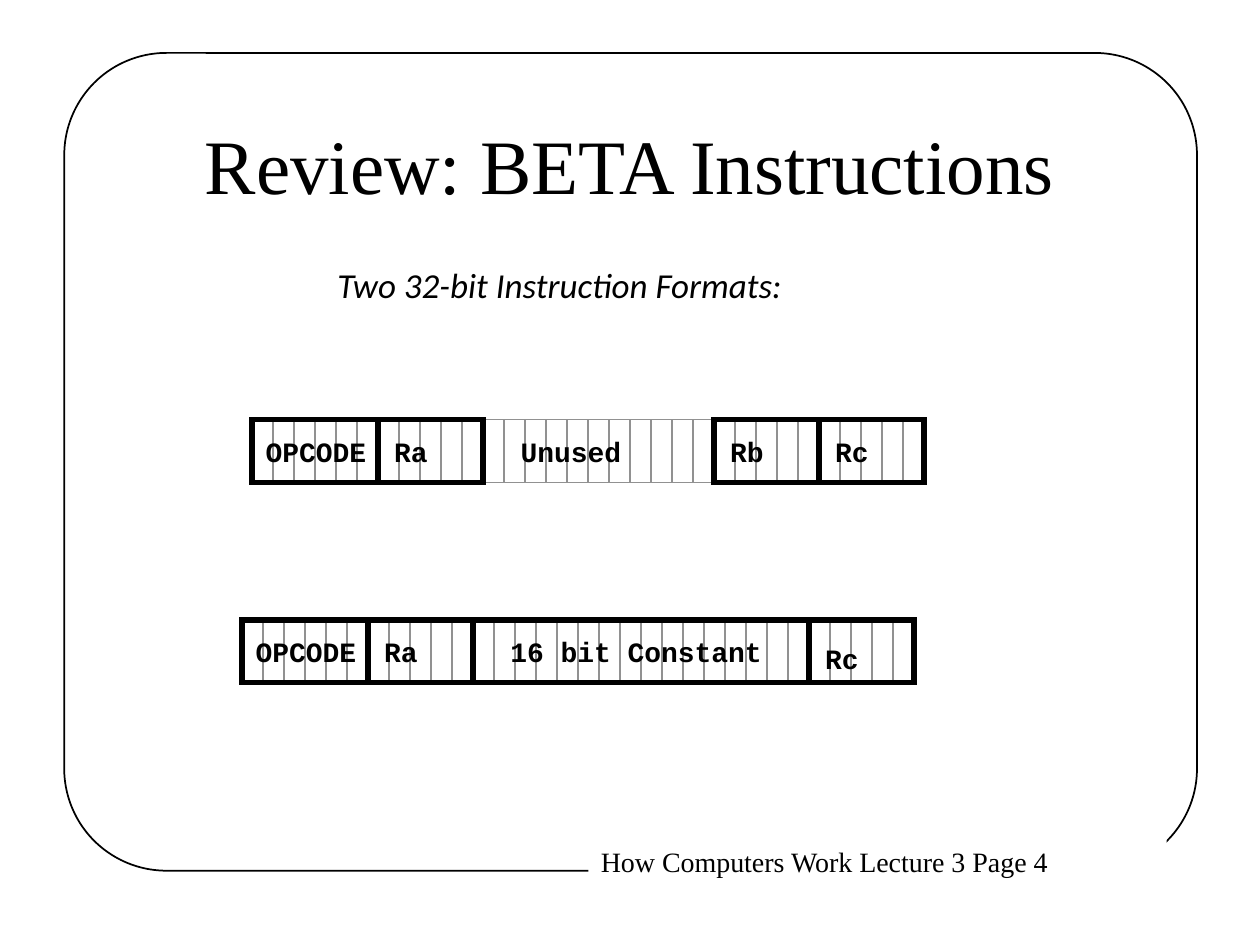
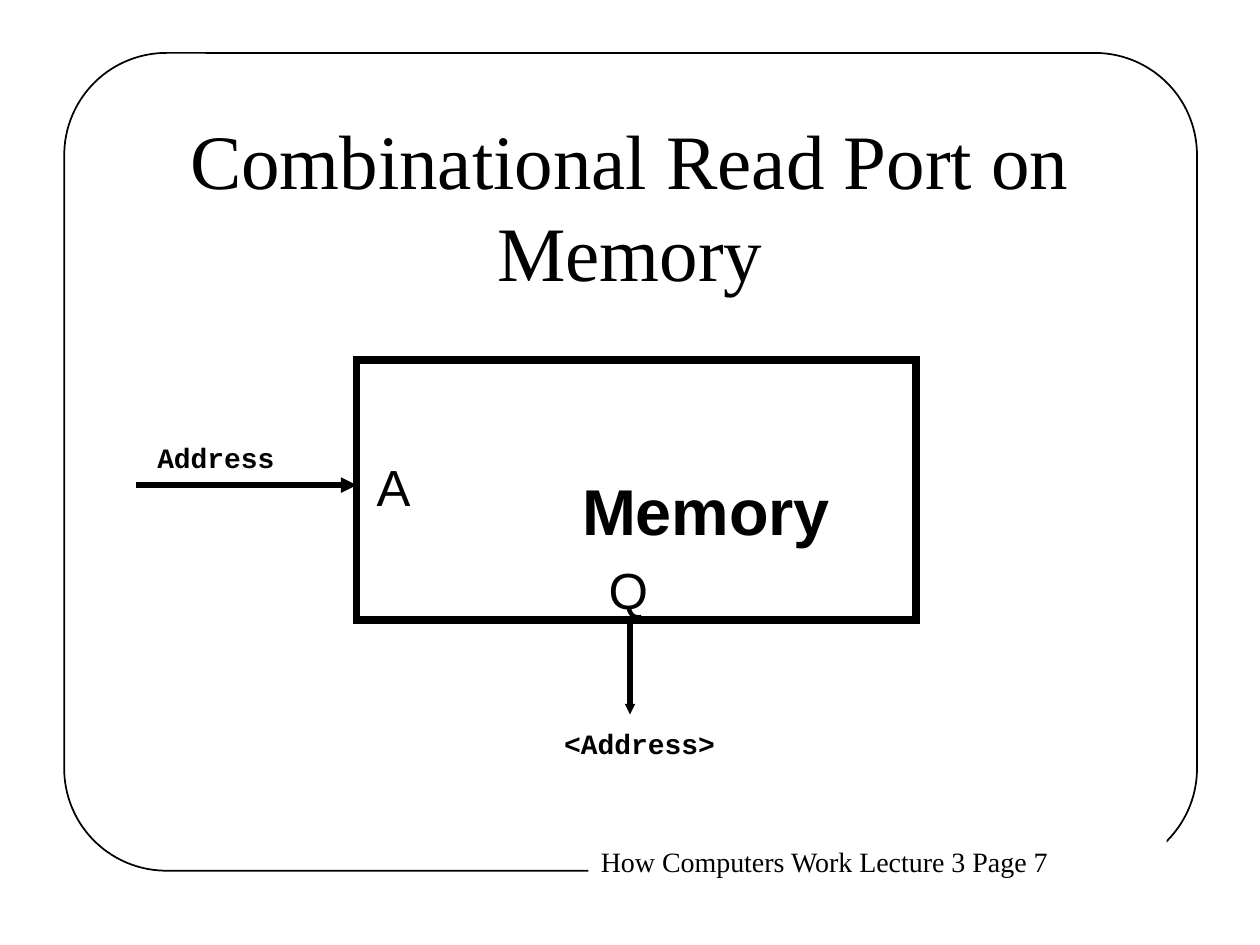
from dataclasses import dataclass

import lxml.etree
import pptx
import pptx.dml.color
import pptx.enum.shapes
import pptx.enum.text
import pptx.oxml.ns
import pptx.presentation
import pptx.shapes.autoshape
import pptx.shapes.shapetree
import pptx.slide
import pptx.util

Inches = pptx.util.Inches
Pt = pptx.util.Pt
qn = pptx.oxml.ns.qn
RGBColor = pptx.dml.color.RGBColor
MSO_SHAPE = pptx.enum.shapes.MSO_SHAPE
PP_ALIGN = pptx.enum.text.PP_ALIGN
Shapes = pptx.shapes.shapetree.SlideShapes | pptx.shapes.shapetree.GroupShapes
Shape = pptx.shapes.autoshape.Shape

BLACK = RGBColor(0x00, 0x00, 0x00)
WHITE = RGBColor(0xFF, 0xFF, 0xFF)
GRAY = RGBColor(0x91, 0x91, 0x91)

BIT_WIDTH = 1 / 6
WORD_HEIGHT = 0.5


@dataclass(frozen=True)
class Box:
    left: float
    top: float
    width: float
    height: float

    def lengths(self) -> tuple[int, int, int, int]:
        return (Inches(self.left), Inches(self.top),
                Inches(self.width), Inches(self.height))


@dataclass(frozen=True)
class Style:
    font: str
    size: float
    bold: bool = False
    italic: bool = False
    spacing: float = 0.9
    align: PP_ALIGN = PP_ALIGN.LEFT
    margins: tuple[float, float] = (0.1, 0.05)


@dataclass(frozen=True)
class Field:
    """A run of bits in an instruction word, with its label's offset."""
    label: str
    bits: int
    label_width: float = 0.55
    dx: float = 0.03
    dy: float = 0.1
    framed: bool = True


@dataclass(frozen=True)
class Arrow:
    start: tuple[float, float]
    end: tuple[float, float]
    head: str


TITLE = Style("Times New Roman", 44, spacing=1, align=PP_ALIGN.CENTER)
FOOTER = Style("Times New Roman", 16, spacing=1)
SUBTITLE = Style("Calibri", 20, italic=True)
CODE = Style("Courier New", 16, bold=True)
BLOCK_NAME = Style("Arial", 37, bold=True, margins=(0, 0))
PORT = Style("Arial", 29, margins=(0, 0))

OPCODE = Field("OPCODE", 6, label_width=1.05, dx=0.01)
RA = Field("Ra", 5)
RB = Field("Rb", 5)
RC = Field("Rc", 5)
UNUSED = Field("Unused", 11, label_width=1.05, dx=0.2, framed=False)
CONSTANT = Field("16 bit Constant", 16, label_width=2.3, dx=0.2)
LOW_RC = Field("Rc", 5, dy=0.15)


def add_text(shapes: Shapes, text: str, box: Box, style: Style,
             wrap: bool = False) -> Shape:
    sp = shapes.add_textbox(*box.lengths())
    tf = sp.text_frame
    tf.word_wrap = wrap
    tf.margin_left = tf.margin_right = Inches(style.margins[0])
    tf.margin_top = tf.margin_bottom = Inches(style.margins[1])
    p = tf.paragraphs[0]
    p.text = text
    p.alignment = style.align
    p.line_spacing = style.spacing
    p.font.name = style.font
    p.font.size = Pt(style.size)
    p.font.bold = style.bold
    p.font.italic = style.italic
    p.font.color.rgb = BLACK
    return sp


def add_outline(shapes: Shapes, box: Box, color: RGBColor, weight: float,
                kind: MSO_SHAPE = MSO_SHAPE.RECTANGLE) -> Shape:
    """Add an unfilled shape whose line has sharp corners."""
    sp = shapes.add_shape(kind, *box.lengths())
    sp.shadow.inherit = False
    sp.fill.background()
    sp.line.color.rgb = color
    sp.line.width = Pt(weight)
    lxml.etree.SubElement(sp.element.spPr.find(qn("a:ln")), qn("a:miter"),
                          lim="800000")
    return sp


def add_arrow(shapes: Shapes, arrow: Arrow) -> None:
    points = [Inches(v) for v in (*arrow.start, *arrow.end)]
    cx = shapes.add_connector(pptx.enum.shapes.MSO_CONNECTOR.STRAIGHT, *points)
    cx.line.color.rgb = BLACK
    cx.line.width = Pt(3)
    sp_pr = cx.element.spPr
    lxml.etree.SubElement(sp_pr.find(qn("a:ln")), qn("a:tailEnd"),
                          type="triangle", w=arrow.head, len=arrow.head)
    lxml.etree.SubElement(sp_pr, qn("a:effectLst"))


def add_base_slide(prs: pptx.presentation.Presentation, title: str,
                   title_top: float, page: int) -> pptx.slide.Slide:
    """Add a slide with the rounded border, page footer and title."""
    s = prs.slides.add_slide(prs.slide_layouts[6])
    border = add_outline(s.shapes, Box(0.51, 0.42, 8.99, 6.49), BLACK, 1,
                         MSO_SHAPE.ROUNDED_RECTANGLE)
    border.adjustments[0] = 0.125
    footer = add_text(s.shapes, f"How Computers Work Lecture 3 Page {page}",
                      Box(4.67, 6.65, 4.59, 0.37), FOOTER, wrap=True)
    footer.fill.solid()
    footer.fill.fore_color.rgb = WHITE
    heading = add_text(s.shapes, title, Box(0.75, title_top, 8.5, 1.25), TITLE,
                       wrap=True)
    heading.text_frame.vertical_anchor = pptx.enum.text.MSO_ANCHOR.MIDDLE
    return s


def add_word(s: pptx.slide.Slide, left: float, top: float,
             fields: list[Field]) -> None:
    """Draw an instruction word as a grouped strip of bits and fields."""
    shapes = s.shapes.add_group_shape().shapes
    for bit in range(sum(field.bits for field in fields)):
        add_outline(shapes, Box(left + bit * BIT_WIDTH, top, BIT_WIDTH, WORD_HEIGHT),
                    GRAY, 1)
    x = left
    for field in fields:
        width = field.bits * BIT_WIDTH
        if field.framed:
            add_outline(shapes, Box(x, top, width, WORD_HEIGHT), BLACK, 3)
        add_text(shapes, field.label,
                 Box(x + field.dx, top + field.dy, field.label_width, 0.34), CODE)
        x += width


def build_formats_slide(prs: pptx.presentation.Presentation) -> None:
    s = add_base_slide(prs, "Review: BETA Instructions", 0.67, 4)
    add_text(s.shapes, "Two 32-bit Instruction Formats:",
             Box(2.58, 2.08, 4.07, 0.4), SUBTITLE)
    add_word(s, 2, 3.33, [OPCODE, RA, UNUSED, RB, RC])
    add_word(s, 1.92, 4.92, [OPCODE, RA, CONSTANT, LOW_RC])


def build_memory_slide(prs: pptx.presentation.Presentation) -> None:
    s = add_base_slide(prs, "Combinational Read Port on Memory", 1, 7)
    memory = add_outline(s.shapes, Box(2.83, 2.86, 4.44, 2.06), BLACK, 4.5)
    memory.fill.solid()
    memory.fill.fore_color.rgb = WHITE
    for text, box, style in (
        ("Memory", Box(4.62, 3.81, 1.97, 0.56), BLOCK_NAME),
        ("A", Box(2.99, 3.67, 0.27, 0.44), PORT),
        ("Q", Box(4.83, 4.49, 0.31, 0.44), PORT),
    ):
        add_text(s.shapes, text, box, style)
    for arrow in (Arrow((1.08, 3.85), (2.83, 3.85), "med"),
                  Arrow((5, 4.93), (5, 5.67), "sm")):
        add_arrow(s.shapes, arrow)
    add_text(s.shapes, "Address", Box(1.15, 3.48, 1.37, 0.34), CODE, wrap=True)
    add_text(s.shapes, "<Address>", Box(4.38, 5.75, 1.7, 0.34), CODE, wrap=True)


def main() -> None:
    prs = pptx.Presentation()
    prs.slide_width = Inches(10)
    prs.slide_height = Inches(7.5)
    build_formats_slide(prs)
    build_memory_slide(prs)
    prs.save("out.pptx")


if __name__ == "__main__":
    main()
